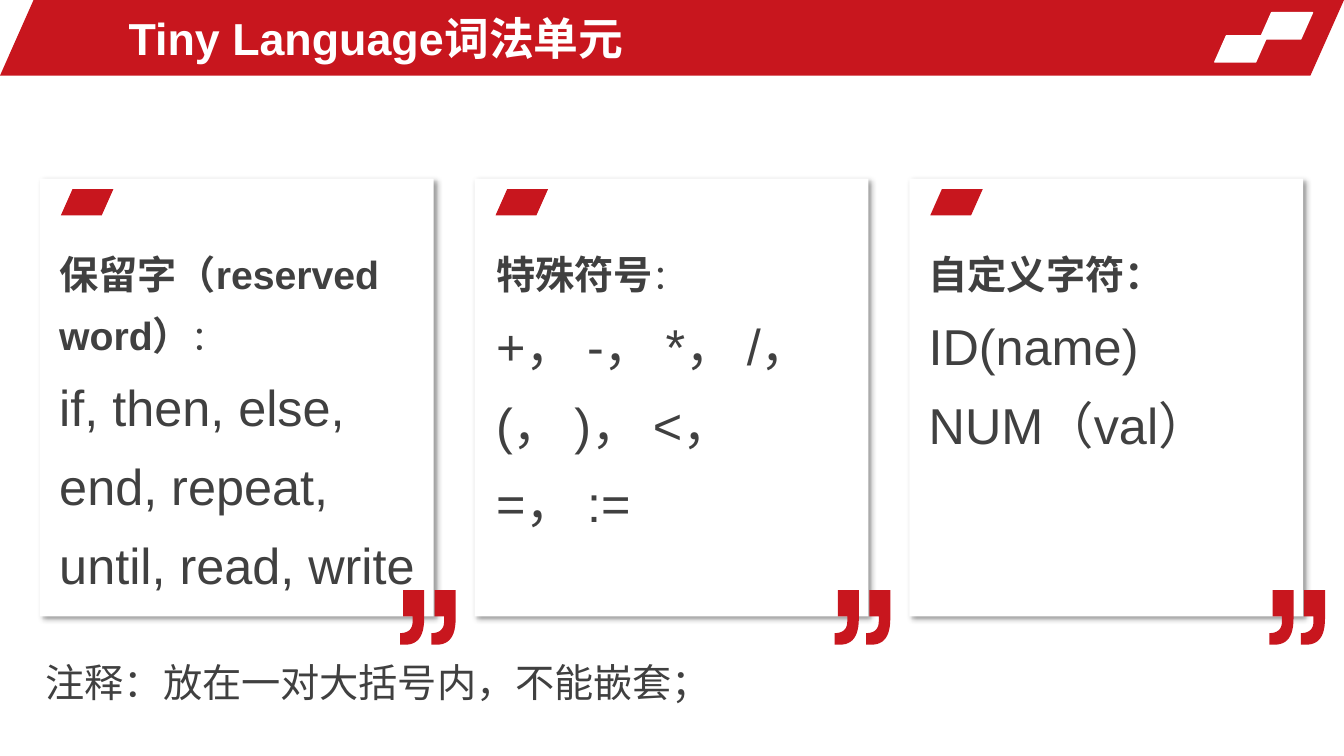
from lxml.etree import SubElement
from pptx import Presentation
from pptx.dml.color import RGBColor
from pptx.enum.shapes import MSO_SHAPE
from pptx.enum.text import MSO_ANCHOR, MSO_AUTO_SIZE
from pptx.oxml.ns import qn
from pptx.util import Pt

PX = 9525  # 96 px to the inch
RED = RGBColor(0xC8, 0x16, 0x1E)
WHITE = RGBColor(0xFF, 0xFF, 0xFF)
GREY = RGBColor(0x40, 0x40, 0x40)

CARD_LEFT, CARD_TOP, CARD_WIDTH, CARD_HEIGHT, CARD_STEP = 38, 170, 375, 417, 414
# Each card: text inset, text height, paragraphs of (text, size, bold) runs
CARDS = [
    (9, 347, [[("保留字（reserved word）", 28, True), ("：", 24, False)],
              [("if, then, else, end, repeat, until, read, write", 36, False)]]),
    (11, 288, [[("特殊符号", 28, True), ("：", 24, False)],
               [("+， -， *， /， (， )， <， =， :=", 36, False)]]),
    (9, 212, [[("自定义字符：", 28, True)],
              [("ID(name)", 36, False)],
              [("NUM（val）", 36, False)]]),
]

prs = Presentation()
prs.slide_width, prs.slide_height = 1280 * PX, 720 * PX
slide = prs.slides.add_slide(prs.slide_layouts[6])
shapes = slide.shapes


def add_block(preset, box, fill, adjustment):
    block = shapes.add_shape(preset, *(v * PX for v in box))
    block.adjustments[0] = adjustment
    block.shadow.inherit = False
    block.fill.solid()
    block.fill.fore_color.rgb = fill
    block.line.fill.background()
    return block


def add_text(box, paragraphs, color=GREY, line_spacing=1.3):
    """Add a wrapping text box; each paragraph is a list of (text, size, bold) runs."""
    textbox = shapes.add_textbox(*(v * PX for v in box))
    frame = textbox.text_frame
    frame.word_wrap = True
    frame.auto_size = MSO_AUTO_SIZE.SHAPE_TO_FIT_TEXT
    for index, runs in enumerate(paragraphs):
        paragraph = frame.add_paragraph() if index else frame.paragraphs[0]
        paragraph.line_spacing = line_spacing
        for text, size, bold in runs:
            run = paragraph.add_run()
            run.text = text
            run.font.name = "Arial"
            run.font.size = Pt(size)
            run.font.bold = bold
            run.font.color.rgb = color
    return frame


# Header
add_block(MSO_SHAPE.PARALLELOGRAM, (0, 0, 1280, 72), RED, 0.444)
for left, top in [(1200, 12), (1157, 34)]:
    tile = add_block(MSO_SHAPE.PARALLELOGRAM, (left, top, 50, 25), WHITE, 0.444)
    tile.line.color.rgb = WHITE
    tile.line.width = Pt(1)
title = add_text((113, 5, 743, 62), [[("Tiny Language词法单元", 32, True)]], WHITE, 1.0)
title.auto_size = MSO_AUTO_SIZE.NONE
title.vertical_anchor = MSO_ANCHOR.MIDDLE

# Outline of one closing quote mark, its two curves sampled as short lines
outer_curve = [(23, 27), (23, 44), (17, 52), (5, 52)]
inner_curve = [(0, 41), (8, 41), (12, 37), (12, 30)]
sampled = []
for curve in (outer_curve, inner_curve):
    points = []
    for step in range(13):
        t = step / 12
        weights = ((1 - t) ** 3, 3 * t * (1 - t) ** 2, 3 * t * t * (1 - t), t ** 3)
        points.append(tuple(sum(w * p[axis] for w, p in zip(weights, curve))
                            for axis in (0, 1)))
    sampled.append(points)
quote_outline = [(23, 0), *sampled[0], (0, 52), *sampled[1], (12, 25), (3, 25), (3, 0)]

# Cards
for column, (inset, text_height, paragraphs) in enumerate(CARDS):
    left = CARD_LEFT + column * CARD_STEP
    card = add_block(MSO_SHAPE.ROUNDED_RECTANGLE,
                     (left, CARD_TOP, CARD_WIDTH, CARD_HEIGHT), WHITE, 0)
    effects = card.element.spPr.find(qn("a:effectLst"))
    shadow = SubElement(effects, qn("a:outerShdw"), blurRad=str(Pt(4)), dist=str(Pt(3)),
                        dir="2700000", algn="tl", rotWithShape="0")
    shadow_color = SubElement(shadow, qn("a:srgbClr"), val="000000")
    SubElement(shadow_color, qn("a:alpha"), val="40000")

    add_block(MSO_SHAPE.PARALLELOGRAM, (left + 20, CARD_TOP + 10, 50, 25), RED, 0.444)
    add_text((left + inset, CARD_TOP + 50, 367, text_height), paragraphs)

    builder = shapes.build_freeform(scale=1.0)
    for offset in (0, 30):
        contour = [((x + offset) * PX, y * PX) for x, y in quote_outline]
        builder.move_to(*contour[0])
        builder.add_line_segments(contour[1:], close=True)
    quote = builder.convert_to_shape((left + 343) * PX, (CARD_TOP + 392) * PX)
    quote.shadow.inherit = False
    quote.fill.solid()
    quote.fill.fore_color.rgb = RED
    quote.line.fill.background()

add_text((34, 609, 761, 62), [[("注释：放在一对大括号内，不能嵌套；", 28, False)]])

prs.save("out.pptx")
